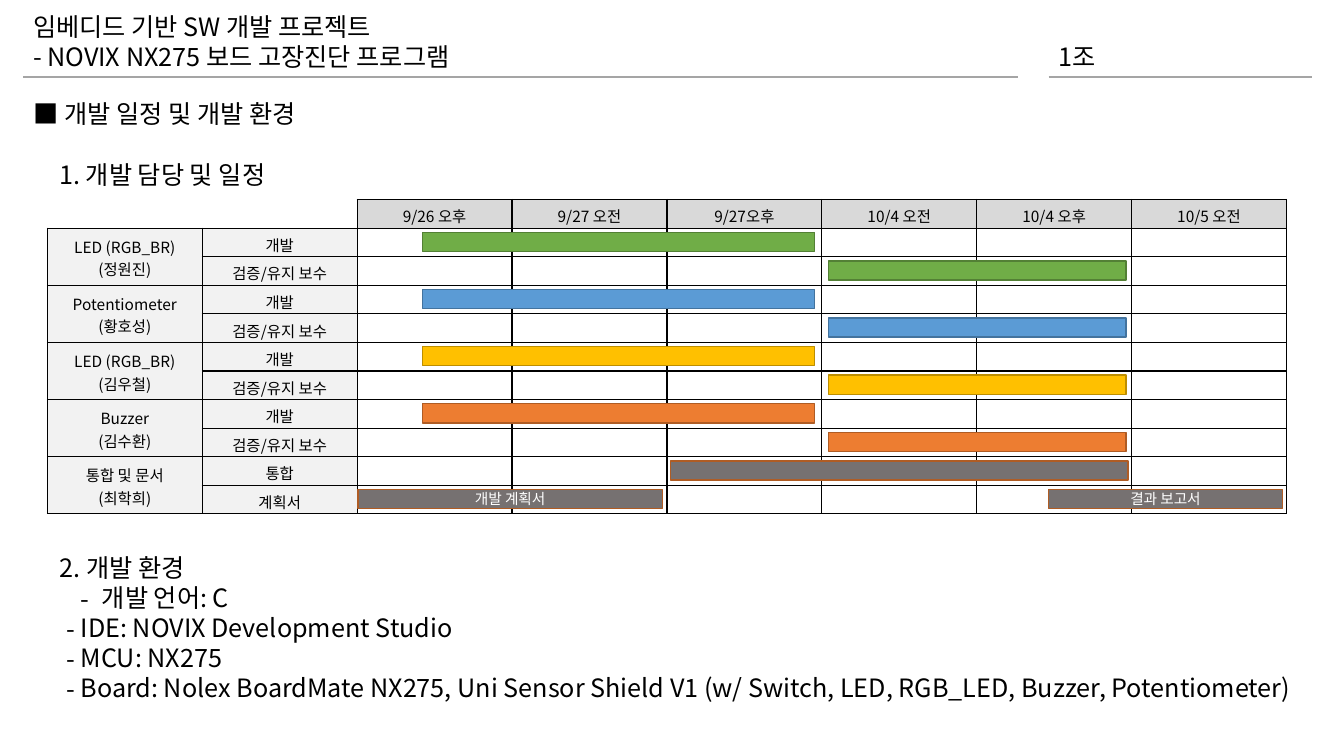
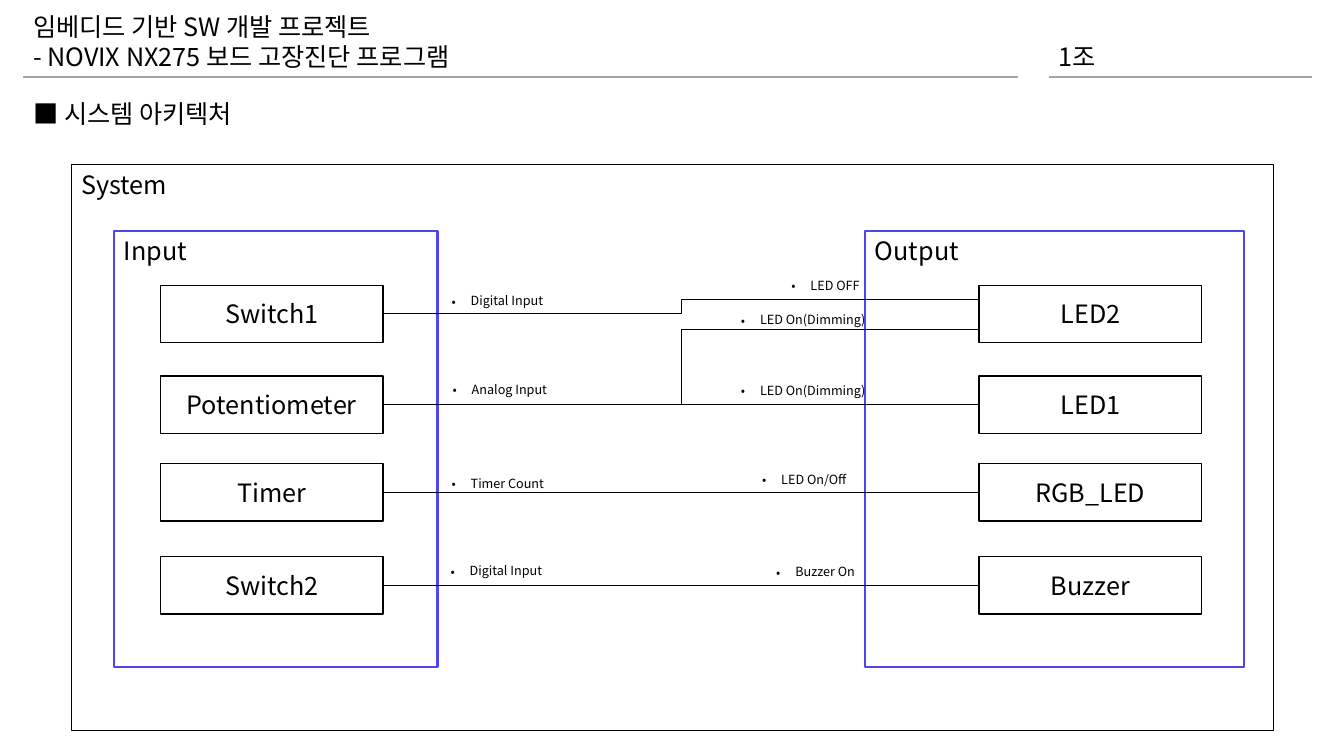
from dataclasses import dataclass
from typing import NamedTuple

from lxml.etree import SubElement
from pptx import Presentation
from pptx.dml.color import RGBColor
from pptx.enum.shapes import MSO_CONNECTOR, MSO_SHAPE
from pptx.enum.text import MSO_ANCHOR, MSO_AUTO_SIZE, PP_ALIGN
from pptx.oxml.ns import qn
from pptx.util import Inches, Pt


@dataclass(frozen=True)
class Theme:
    """Colours, font and type sizes of the deck."""
    font: str = "Noto Sans CJK KR"
    black: str = "000000"
    white: str = "FFFFFF"
    rule: str = "A5A5A5"
    header_fill: str = "D9D9D9"
    label_fill: str = "F2F2F2"
    group_line: str = "5044EC"
    heading_size: float = 18
    table_size: float = 11
    bar_size: float = 10.5
    signal_size: float = 9
    line_ratio: float = 1.19


class Box(NamedTuple):
    """Position and size in inches."""
    left: float
    top: float
    width: float
    height: float

    def lengths(self) -> list:
        """Return the four values as lengths."""
        return [Inches(value) for value in self]


class Bullet(NamedTuple):
    """Bullet character with its text margin and hanging indent in inches."""
    character: str
    margin: float
    hanging: float


class Task(NamedTuple):
    """Owner of two schedule rows."""
    owner: str
    rows: tuple


class Bar(NamedTuple):
    """Bar of the schedule chart, placed on a task row."""
    row: int
    left: float
    width: float
    fill: str
    line: str
    text: str = ""


class Signal(NamedTuple):
    """Label of a signal in the architecture."""
    left: float
    top: float
    text: str


THEME = Theme()
DASH = Bullet("-", 0.21, 0.14)
WIDE_DASH = Bullet("-", 0.42, 0.21)
DOT = Bullet("•", 0.19, 0.19)

TABLE = Box(0.47, 1.98, 12.29, 3.12)
PERIODS = ("9/26 오후", "9/27 오전", "9/27오후", "10/4 오전", "10/4 오후", "10/5 오전")
STAGES = ("개발", "검증/유지 보수")
TASKS = (
    Task("LED (RGB_BR)\n(정원진)", STAGES),
    Task("Potentiometer\n(황호성)", STAGES),
    Task("LED (RGB_BR)\n(김우철)", STAGES),
    Task("Buzzer\n(김수환)", STAGES),
    Task("통합 및 문서\n(최학희)", ("통합", "계획서")),
)
ROW_COUNT = 1 + 2 * len(TASKS)
ROW_HEIGHT = TABLE.height / ROW_COUNT
OWNER_COLOURS = (("70AD47", "538035"), ("5B9BD5", "43739E"),
                 ("FFC000", "BD8E00"), ("ED7D31", "AF5C24"))
STAGE_SPANS = ((4.19, 3.89), (8.22, 2.95))
DOCUMENT_COLOURS = ("767171", "AF5C24")
BARS = [
    Bar(2 * owner + stage, *span, *colours)
    for owner, colours in enumerate(OWNER_COLOURS)
    for stage, span in enumerate(STAGE_SPANS)
] + [
    Bar(8, 6.65, 4.54, *DOCUMENT_COLOURS),
    Bar(9, 3.55, 3.02, *DOCUMENT_COLOURS, "개발 계획서"),
    Bar(9, 10.4, 2.32, *DOCUMENT_COLOURS, "결과 보고서"),
]
ENVIRONMENT = (
    ("2. 개발 환경", None),
    ("개발 언어: C", WIDE_DASH),
    ("IDE: NOVIX Development Studio", DASH),
    ("MCU: NX275", DASH),
    ("Board: Nolex BoardMate NX275, Uni Sensor Shield V1 "
     "(w/ Switch, LED, RGB_LED, Buzzer, Potentiometer)", DASH),
)

GROUPS = (
    ("System", Box(0.71, 1.63, 11.92, 5.62), THEME.black, 1),
    ("Input", Box(1.13, 2.29, 3.21, 4.33), THEME.group_line, 1.5),
    ("Output", Box(8.58, 2.29, 3.76, 4.33), THEME.group_line, 1.5),
)
INPUT_LEFT, OUTPUT_LEFT = 1.59, 9.71
NODE_WIDTH, NODE_HEIGHT = 2.21, 0.57
CHANNELS = (
    ("Switch1", "LED2", 2.83),
    ("Potentiometer", "LED1", 3.73),
    ("Timer", "RGB_LED", 4.6),
    ("Switch2", "Buzzer", 5.52),
)
ELBOWS = ((3.11, 2.97), (4.01, 3.27))
SIGNALS = (
    Signal(4.38, 2.86, "Digital Input"),
    Signal(4.39, 3.74, "Analog Input"),
    Signal(4.38, 4.67, "Timer Count"),
    Signal(4.37, 5.54, "Digital Input"),
    Signal(7.75, 2.71, "LED OFF"),
    Signal(7.25, 3.05, "LED On(Dimming)"),
    Signal(7.25, 3.75, "LED On(Dimming)"),
    Signal(7.46, 4.63, "LED On/Off"),
    Signal(7.6, 5.55, "Buzzer On"),
)


def colour(value: str) -> RGBColor:
    """Turn a hexadecimal string into a colour."""
    return RGBColor.from_string(value)


def write_text(paragraph, text: str, *, size: float = THEME.heading_size,
               fill: str = THEME.black, align=PP_ALIGN.LEFT,
               bullet: Bullet | None = None, tight: bool = True) -> None:
    """Write one formatted run into a paragraph."""
    properties = paragraph._p.get_or_add_pPr()
    margin, hanging = (bullet.margin, bullet.hanging) if bullet else (0, 0)
    properties.set("marL", str(Inches(margin)))
    properties.set("indent", str(-Inches(hanging)))
    if bullet:
        SubElement(properties, qn("a:buFont"), typeface=THEME.font)
        SubElement(properties, qn("a:buChar"), char=bullet.character)
    else:
        SubElement(properties, qn("a:buNone"))
    paragraph.alignment = align
    paragraph.space_before = Pt(0)
    if tight:
        paragraph.line_spacing = Pt(round(size * THEME.line_ratio, 1))
    run = paragraph.add_run()
    run.text = text
    run.font.size = Pt(size)
    run.font.name = THEME.font
    run.font.color.rgb = colour(fill)
    SubElement(run.font._element, qn("a:ea"), typeface=THEME.font)


def write_lines(frame, lines, **options) -> None:
    """Write each line as a paragraph of the frame."""
    for index, line in enumerate(lines):
        paragraph = frame.paragraphs[0] if index == 0 else frame.add_paragraph()
        write_text(paragraph, line, **options)


def prepare_frame(shape, centred: bool = False):
    """Set wrapping, margins and anchor of a shape's text and return its frame."""
    frame = shape.text_frame
    frame.word_wrap = True
    frame.auto_size = MSO_AUTO_SIZE.NONE
    frame.margin_left = Inches(0 if centred else 0.1)
    frame.margin_right = 0
    frame.margin_top = frame.margin_bottom = Inches(0 if centred else 0.05)
    frame.vertical_anchor = MSO_ANCHOR.MIDDLE if centred else MSO_ANCHOR.TOP
    return frame


def place(shape, box: Box) -> None:
    """Move and size a placeholder."""
    shape.left, shape.top, shape.width, shape.height = box.lengths()


def add_text(slide, box: Box, text: str, **options) -> None:
    """Add a text box."""
    shape = slide.shapes.add_textbox(*box.lengths())
    write_lines(prepare_frame(shape), text.split("\n"), **options)


def add_rectangle(slide, box: Box, text: str = "", *, fill: str = THEME.white,
                  line: str = THEME.black, weight: float = 1,
                  centred: bool = True, size: float = THEME.heading_size,
                  text_fill: str = THEME.black):
    """Add an outlined rectangle with optional text."""
    shape = slide.shapes.add_shape(MSO_SHAPE.RECTANGLE, *box.lengths())
    shape.shadow.inherit = False
    shape.fill.solid()
    shape.fill.fore_color.rgb = colour(fill)
    shape.line.color.rgb = colour(line)
    shape.line.width = Pt(weight)
    if text:
        align = PP_ALIGN.CENTER if centred else PP_ALIGN.LEFT
        write_text(prepare_frame(shape, centred).paragraphs[0], text,
                   size=size, fill=text_fill, align=align)
    return shape


def add_line(slide, start: tuple[float, float], end: tuple[float, float], *,
             kind=MSO_CONNECTOR.STRAIGHT, line: str = THEME.black,
             weight: float = 0.5):
    """Add a connector without shadow."""
    points = [Inches(value) for value in (*start, *end)]
    connector = slide.shapes.add_connector(kind, *points)
    connector.line.color.rgb = colour(line)
    connector.line.width = Pt(weight)
    SubElement(connector._element.spPr, qn("a:effectLst"))
    return connector


def start_slide(presentation, layout_index: int, title: str):
    """Add a slide with the shared header and its title."""
    slide = presentation.slides.add_slide(presentation.slide_layouts[layout_index])
    for left, right in ((0.23, 10.1), (10.4, 13.01)):
        add_line(slide, (left, 0.76), (right, 0.76), line=THEME.rule, weight=1.5)
    add_text(slide, Box(10.4, 0.36, 2.4, 0.4), "1조")
    add_text(slide, Box(0.23, 0.07, 8.1, 0.71),
             "임베디드 기반 SW 개발 프로젝트\n- NOVIX NX275 보드 고장진단 프로그램")
    place(slide.shapes.title, Box(0.23, 0.93, 8.78, 0.4))
    write_text(prepare_frame(slide.shapes.title).paragraphs[0], title)
    return slide


def format_cell(cell, text: str, fill: str | None, sides: str) -> None:
    """Set text, fill and borders of a table cell."""
    cell.margin_left = cell.margin_right = Inches(0.05)
    cell.margin_top = Inches(0.03 if "\n" in text else 0.05)
    cell.margin_bottom = Inches(0.01)
    cell.vertical_anchor = MSO_ANCHOR.MIDDLE
    properties = cell._tc.get_or_add_tcPr()
    for side in "LRTB":
        border = SubElement(properties, qn(f"a:ln{side}"), w=str(Pt(1)))
        if side in sides:
            solid = SubElement(border, qn("a:solidFill"))
            SubElement(solid, qn("a:srgbClr"), val=THEME.black)
        else:
            SubElement(border, qn("a:noFill"))
    if fill:
        cell.fill.solid()
        cell.fill.fore_color.rgb = colour(fill)
    else:
        cell.fill.background()
    if text:
        write_lines(cell.text_frame, text.split("\n"), size=THEME.table_size,
                    align=PP_ALIGN.CENTER, tight=False)
    else:
        SubElement(cell.text_frame.paragraphs[0]._p, qn("a:endParaRPr"),
                   sz=str(THEME.table_size * 100))


def add_schedule(slide) -> None:
    """Add the schedule table and its bars."""
    column_count = 2 + len(PERIODS)
    table = slide.shapes.add_table(ROW_COUNT, column_count, *TABLE.lengths()).table
    table.first_row = table.horz_banding = False
    for column in table.columns:
        column.width = Inches(TABLE.width / column_count)
    for row in table.rows:
        row.height = Inches(ROW_HEIGHT)
    rows = [("", "", *PERIODS)]
    for task in TASKS:
        for index, stage in enumerate(task.rows):
            rows.append((task.owner if index == 0 else "", stage, *[""] * len(PERIODS)))
    for row, texts in enumerate(rows):
        for column, text in enumerate(texts):
            sides, fill = "LRTB", None
            if row == 0 and column < 2:
                sides = ("B", "RB")[column]
            elif row == 0:
                fill = THEME.header_fill
            elif column < 2:
                fill = THEME.label_fill
            format_cell(table.cell(row, column), text, fill, sides)
    for row in range(1, ROW_COUNT, 2):
        table.cell(row, 0).merge(table.cell(row + 1, 0))
    for bar in BARS:
        top = TABLE.top + (bar.row + 1) * ROW_HEIGHT + 0.04
        add_rectangle(slide, Box(bar.left, top, bar.width, 0.19), bar.text, fill=bar.fill,
                      line=bar.line, size=THEME.bar_size, text_fill=THEME.white)


def build_schedule(presentation) -> None:
    """Build the schedule and environment slide."""
    slide = start_slide(presentation, 1, "■ 개발 일정 및 개발 환경")
    add_text(slide, Box(0.49, 1.53, 6, 0.4), "1. 개발 담당 및 일정")
    body = slide.placeholders[1]
    place(body, Box(0.49, 5.43, 12.8, 1.65))
    frame = prepare_frame(body)
    for index, (text, bullet) in enumerate(ENVIRONMENT):
        paragraph = frame.paragraphs[0] if index == 0 else frame.add_paragraph()
        write_text(paragraph, text, bullet=bullet)
    add_schedule(slide)


def build_architecture(presentation) -> None:
    """Build the system architecture slide."""
    slide = start_slide(presentation, 5, "■ 시스템 아키텍처")
    for name, box, line, weight in GROUPS:
        add_rectangle(slide, box, name, line=line, weight=weight, centred=False)
    start_x = INPUT_LEFT + NODE_WIDTH
    for index, (source, target, top) in enumerate(CHANNELS):
        nodes = [add_rectangle(slide, Box(left, top, NODE_WIDTH, NODE_HEIGHT), name)
                 for left, name in ((INPUT_LEFT, source), (OUTPUT_LEFT, target))]
        if index > 0:
            middle = top + NODE_HEIGHT / 2
            connector = add_line(slide, (start_x, middle), (OUTPUT_LEFT, middle))
            connector.begin_connect(nodes[0], 3)
            connector.end_connect(nodes[1], 1)
    for start_y, end_y in ELBOWS:
        add_line(slide, (start_x, start_y), (OUTPUT_LEFT, end_y), kind=MSO_CONNECTOR.ELBOW)
    for signal in SIGNALS:
        add_text(slide, Box(signal.left, signal.top, 1.45, 0.25), signal.text,
                 size=THEME.signal_size, bullet=DOT)


def main() -> None:
    """Build and save the presentation."""
    presentation = Presentation()
    presentation.slide_width, presentation.slide_height = Inches(13.33), Inches(7.5)
    build_schedule(presentation)
    build_architecture(presentation)
    presentation.save("out.pptx")


if __name__ == "__main__":
    main()
